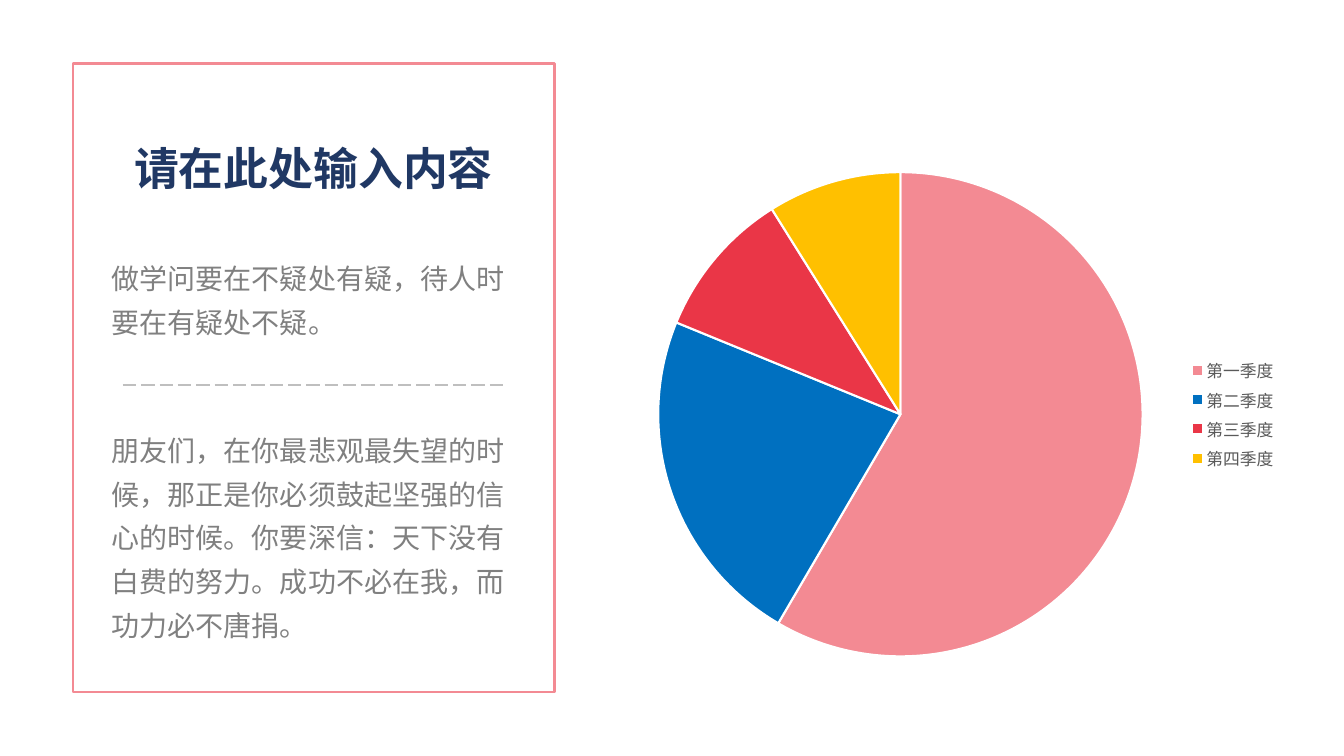
"""Build a slide with a framed text panel beside a quarterly pie chart."""
import pptx
import pptx.chart.data
import pptx.dml.color
import pptx.enum.chart
import pptx.enum.dml
import pptx.enum.shapes
import pptx.enum.text
import pptx.oxml
import pptx.util

Inches = pptx.util.Inches
Pt = pptx.util.Pt
RGBColor = pptx.dml.color.RGBColor

PINK = RGBColor(0xF3, 0x8A, 0x93)
BLUE = RGBColor(0x00, 0x70, 0xC0)
RED = RGBColor(0xEA, 0x36, 0x47)
YELLOW = RGBColor(0xFF, 0xC0, 0x00)
NAVY = RGBColor(0x20, 0x38, 0x64)
GRAY = RGBColor(0x80, 0x80, 0x80)
DARK_GRAY = RGBColor(0x59, 0x59, 0x59)
LIGHT_GRAY = RGBColor(0xBF, 0xBF, 0xBF)
WHITE = RGBColor(0xFF, 0xFF, 0xFF)
FONT = "Arial"

TITLE = "请在此处输入内容"
BODY_TEXTS = [
    (2.45, 0.93, "做学问要在不疑处有疑，待人时要在有疑处不疑。"),
    (4.15, 2.29, "朋友们，在你最悲观最失望的时候，那正是你必须鼓起坚强的信心的时候。"
                 "你要深信：天下没有白费的努力。成功不必在我，而功力必不唐捐。"),
]
QUARTERS = [
    ("第一季度", 59, PINK),
    ("第二季度", 23, BLUE),
    ("第三季度", 10, RED),
    ("第四季度", 9, YELLOW),
]
PANEL_LEFT, PANEL_TOP, PANEL_WIDTH, PANEL_HEIGHT = 0.72, 0.63, 4.78, 6.24
BODY_WIDTH = 4.2
DIVIDER_LEFT, DIVIDER_RIGHT, DIVIDER_TOP = 1.22, 5.01, 3.82


def style_font(font, size, color, bold=False):
    font.name = FONT
    font.size = Pt(size)
    font.bold = bold
    font.color.rgb = color


def add_text(slide, left, top, width, height, text):
    box = slide.shapes.add_textbox(Inches(left), Inches(top), Inches(width), Inches(height))
    box.text_frame.word_wrap = True
    box.text_frame.auto_size = pptx.enum.text.MSO_AUTO_SIZE.SHAPE_TO_FIT_TEXT
    paragraph = box.text_frame.paragraphs[0]
    paragraph.text = text
    return paragraph


def add_panel(slide):
    frame = slide.shapes.add_shape(
        pptx.enum.shapes.MSO_SHAPE.RECTANGLE, Inches(PANEL_LEFT), Inches(PANEL_TOP),
        Inches(PANEL_WIDTH), Inches(PANEL_HEIGHT))
    frame.shadow.inherit = False
    frame.fill.background()
    frame.line.color.rgb = PINK
    frame.line.width = Pt(1.5)

    title = add_text(slide, PANEL_LEFT, 1.35, PANEL_WIDTH, 0.64, TITLE)
    title.alignment = pptx.enum.text.PP_ALIGN.CENTER
    style_font(title.font, 32, NAVY, bold=True)

    body_left = PANEL_LEFT + (PANEL_WIDTH - BODY_WIDTH) / 2
    for top, height, text in BODY_TEXTS:
        paragraph = add_text(slide, body_left, top, BODY_WIDTH, height, text)
        paragraph.line_spacing = 1.3
        style_font(paragraph.font, 20, GRAY)

    divider = slide.shapes.add_connector(
        pptx.enum.shapes.MSO_CONNECTOR.STRAIGHT, Inches(DIVIDER_LEFT), Inches(DIVIDER_TOP),
        Inches(DIVIDER_RIGHT), Inches(DIVIDER_TOP))
    divider.line.color.rgb = LIGHT_GRAY
    divider.line.width = Pt(1.2)
    divider.line.dash_style = pptx.enum.dml.MSO_LINE.LONG_DASH
    properties = divider._element.spPr
    properties.append(properties.makeelement(pptx.oxml.ns.qn("a:effectLst"), {}))


def add_pie(slide):
    data = pptx.chart.data.CategoryChartData()
    data.categories = [name for name, value, color in QUARTERS]
    data.add_series("Series 1", [value for name, value, color in QUARTERS])
    chart = slide.shapes.add_chart(
        pptx.enum.chart.XL_CHART_TYPE.PIE, Inches(6.09), Inches(1.57),
        Inches(6.68), Inches(5.08), data).chart
    chart.font.name = FONT
    chart.font.size = Pt(10)
    chart.has_title = False
    chart.has_legend = True
    chart.legend.position = pptx.enum.chart.XL_LEGEND_POSITION.RIGHT
    chart.legend.include_in_layout = False
    style_font(chart.legend.font, 12, DARK_GRAY)

    plot = chart.plots[0]
    plot.vary_by_categories = True
    for index, (name, value, color) in enumerate(QUARTERS):
        slice_format = plot.series[0].points[index].format
        slice_format.fill.solid()
        slice_format.fill.fore_color.rgb = color
        slice_format.line.color.rgb = WHITE
        slice_format.line.width = Pt(1.5)


def main():
    presentation = pptx.Presentation()
    presentation.slide_width = Inches(13.33)
    presentation.slide_height = Inches(7.5)
    slide = presentation.slides.add_slide(presentation.slide_layouts[6])
    add_panel(slide)
    add_pie(slide)
    presentation.save("out.pptx")


if __name__ == "__main__":
    main()
